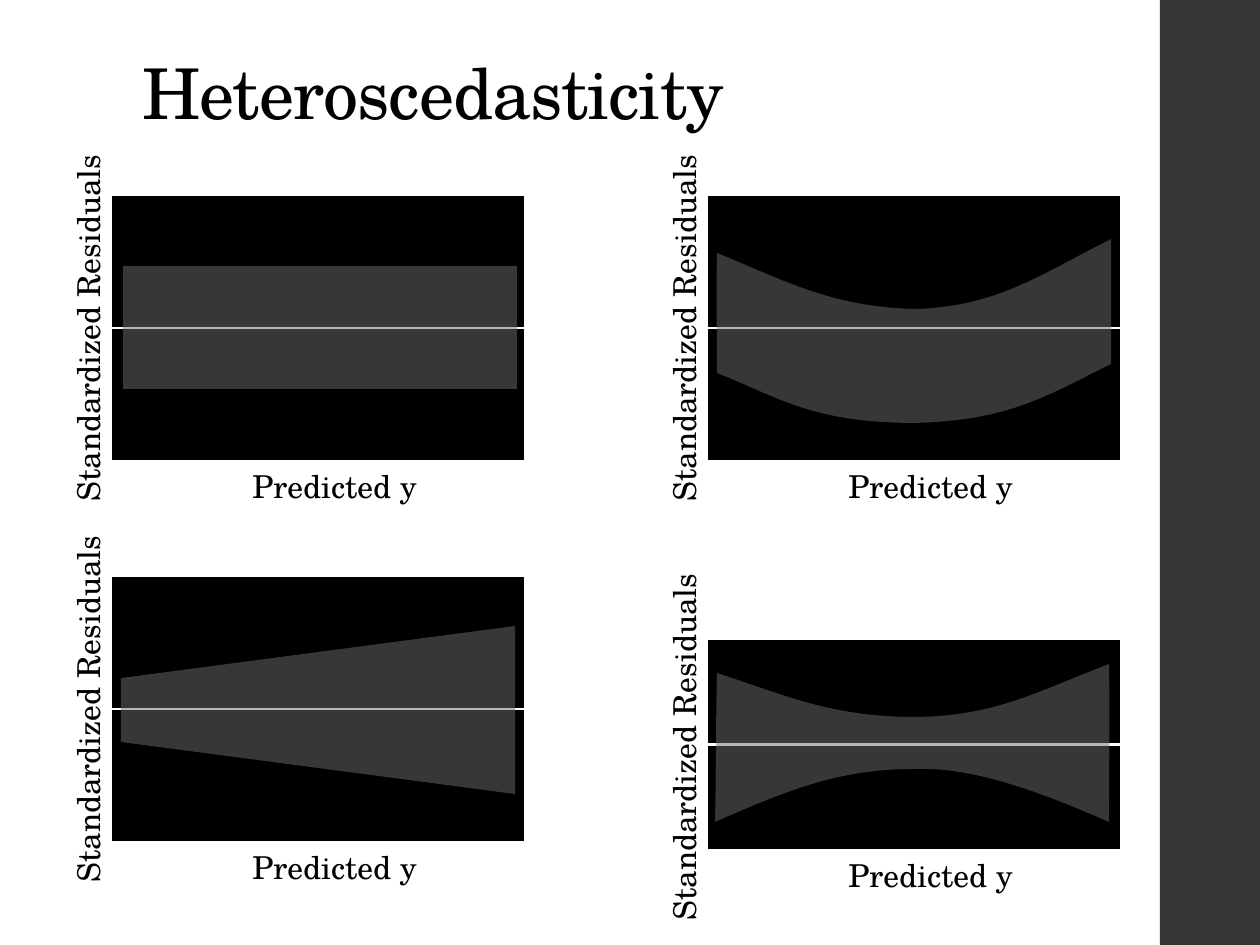
"""Build a slide showing four residual plots that illustrate heteroscedasticity."""
from dataclasses import dataclass

from lxml.etree import SubElement
from pptx import Presentation
from pptx.dml.color import RGBColor
from pptx.enum.shapes import MSO_CONNECTOR as Connector, MSO_SHAPE as Shape
from pptx.enum.text import MSO_ANCHOR as Anchor, MSO_AUTO_SIZE as Fit, PP_ALIGN as Align
from pptx.oxml.ns import qn
from pptx.util import Emu, Pt


@dataclass(frozen=True)
class Theme:
    ink: RGBColor = RGBColor.from_string("000000")
    paper: RGBColor = RGBColor.from_string("FFFFFF")
    sidebar: RGBColor = RGBColor.from_string("353537")
    band: RGBColor = RGBColor.from_string("6F6F74")
    band_alpha: int = 50
    font: str = "TeX Gyre Schola"
    title_size: int = 40
    label_size: int = 18
    line: float = 1.5


theme = Theme()
EMU_PER_PX = 914400 / 126


def px(*lengths):
    return [Emu(round(length * EMU_PER_PX)) for length in lengths]


def write(frame, text, size=theme.label_size, align=Align.LEFT, anchor=Anchor.TOP,
          wrap=False, fit=Fit.SHAPE_TO_FIT_TEXT, line_spacing=None, tracking=None):
    frame.word_wrap = wrap
    frame.auto_size = fit
    frame.vertical_anchor = anchor
    paragraph = frame.paragraphs[0]
    paragraph.alignment = align
    paragraph.line_spacing = line_spacing
    run = paragraph.add_run()
    run.text = text
    run.font.name = theme.font
    run.font.size = Pt(size)
    run.font.color.rgb = theme.ink
    if tracking is not None:
        run.font._element.set("spc", str(round(tracking * 100)))


deck = Presentation()
deck.slide_width, deck.slide_height = px(1260, 945)
slide = deck.slides.add_slide(deck.slide_layouts[5])

sidebar = slide.shapes.add_shape(Shape.RECTANGLE, *px(1160, 0, 100, 945))
sidebar.shadow.inherit = False
sidebar.fill.solid()
sidebar.fill.fore_color.rgb = theme.sidebar
sidebar.line.fill.background()
sidebar._element.nvSpPr.cNvPr.set("id", "20")
deck.slide_master.shapes.element.append(sidebar._element)

title = slide.shapes.title
title.left, title.top, title.width, title.height = px(130, -42, 1002, 183)
write(title.text_frame, "Heteroscedasticity", size=theme.title_size, anchor=Anchor.BOTTOM,
      wrap=True, fit=Fit.NONE, line_spacing=0.9, tracking=-0.5)

PANEL_WIDTH = 414
LABEL_HEIGHT = 50

# A band runs from its first point through cubic (three-point) and straight (one-point) steps.
bowl = [
    [(717, 253)],
    [(716, 299), (717, 328), (717, 373)],
    [(780, 398), (811, 422), (912, 423)],
    [(1009, 421), (1046, 396), (1111, 364)],
    [(1111, 239)],
    [(1036, 277), (997, 306), (916, 309)],
    [(830, 307), (784, 280), (717, 253)],
]
bow_tie = [
    [(717, 673)],
    [(716, 709), (716, 786), (715, 822)],
    [(796, 786), (845, 769), (915, 769)],
    [(969, 767), (1032, 788), (1109, 822)],
    [(1109, 770), (1110, 714), (1109, 664)],
    [(1034, 693), (995, 716), (915, 717)],
    [(830, 717), (782, 694), (717, 673)],
]
panels = [
    (111, 195, 266, 328, "even", None),
    (111, 576, 266, 709, "fan", None),
    (707, 195, 266, 328, "curved", bowl),
    (707, 639, 211, 747, "curved", bow_tie),
]

for left, top, height, label_middle, pattern, steps in panels:
    plot = slide.shapes.add_group_shape().shapes
    middle = top + height / 2

    area = plot.add_shape(Shape.RECTANGLE, *px(left, top, PANEL_WIDTH, height))
    area.shadow.inherit = False
    area.fill.solid()
    area.fill.fore_color.rgb = theme.ink
    area.line.color.rgb = theme.paper
    area.line.width = Pt(theme.line)

    zero_line = plot.add_connector(
        Connector.STRAIGHT, *px(left, middle, left + PANEL_WIDTH, middle))
    zero_line.begin_connect(area, 1)
    zero_line.end_connect(area, 3)
    zero_line.line.color.rgb = theme.paper
    zero_line.line.width = Pt(theme.line)
    SubElement(zero_line._element.spPr, qn("a:effectLst"))

    x_label = plot.add_textbox(*px(left + 129, top + height, 192, LABEL_HEIGHT))
    write(x_label.text_frame, "Predicted y")

    y_label = plot.add_textbox(
        *px(left - 211, label_middle - LABEL_HEIGHT / 2, 375, LABEL_HEIGHT))
    y_label.rotation = 270
    write(y_label.text_frame, "Standardized Residuals", align=Align.CENTER)

    if pattern == "even":
        band = plot.add_shape(Shape.RECTANGLE, *px(left + 12, top + 71, 394, 123))
    elif pattern == "fan":
        band = plot.add_shape(Shape.TRAPEZOID, *px(left + 123, top - 63, 168, 394))
        band.adjustments[0] = 0.31
        band.rotation = 270
    else:
        builder = plot.build_freeform(*px(*steps[0][0]))
        builder.add_line_segments([px(*point) for step in steps[1:] for point in step])
        band = builder.convert_to_shape()
        outline = next(band._element.iter(qn("a:path")))
        segments = iter(outline.findall(qn("a:lnTo")))
        for step in steps[1:]:
            parts = [next(segments) for _ in step]
            if len(parts) == 3:
                curve = SubElement(outline, qn("a:cubicBezTo"))
                for part in parts:
                    curve.append(part[0])
                    outline.remove(part)
            else:
                outline.append(parts[0])
        SubElement(outline, qn("a:close"))

    band.shadow.inherit = False
    band.line.fill.background()
    band.fill.solid()
    band.fill.fore_color.rgb = theme.band
    band_color = band._element.spPr.find(qn("a:solidFill")).find(qn("a:srgbClr"))
    SubElement(band_color, qn("a:alpha")).set("val", str(theme.band_alpha * 1000))

deck.save("out.pptx")
